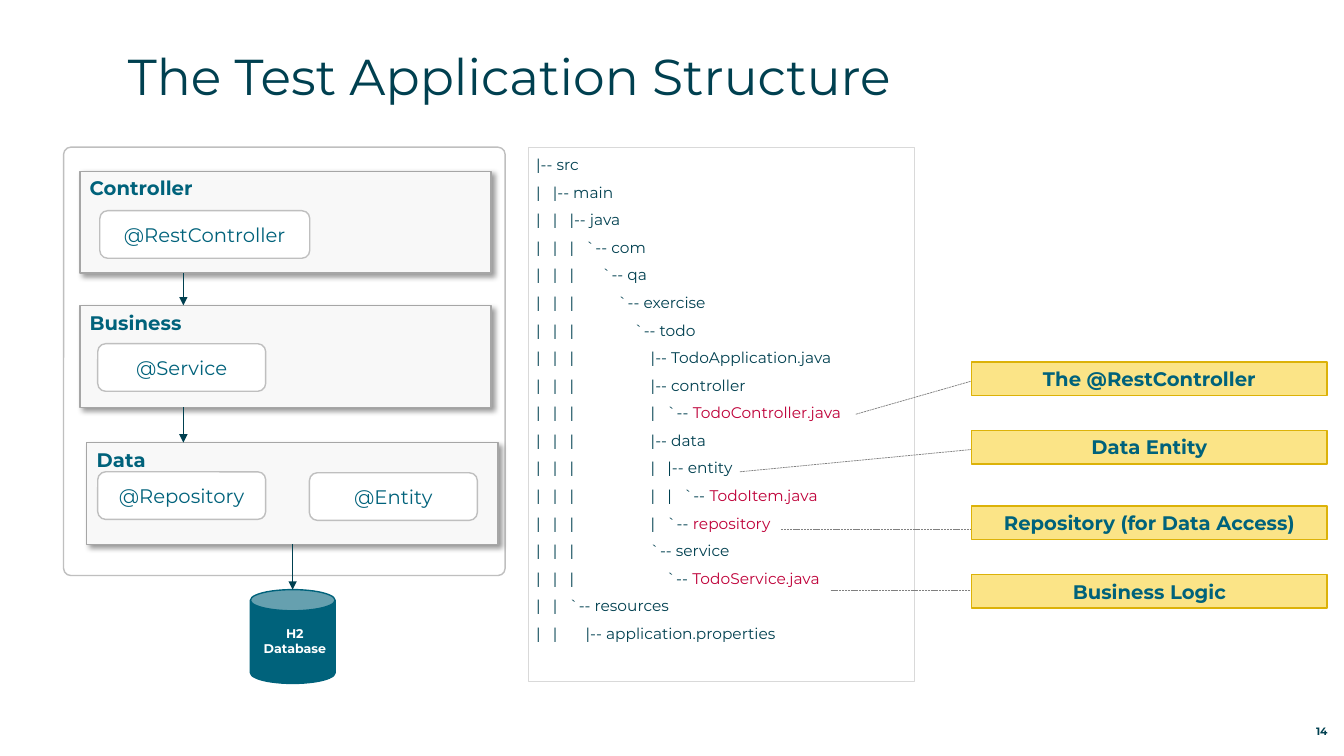
from lxml import etree
from pptx import Presentation
from pptx.dml.color import RGBColor
from pptx.enum.dml import MSO_LINE
from pptx.enum.shapes import MSO_CONNECTOR, MSO_SHAPE
from pptx.enum.text import MSO_ANCHOR, MSO_AUTO_SIZE, PP_ALIGN
from pptx.oxml.ns import qn
from pptx.util import Pt

RECT, ROUND, CAN = MSO_SHAPE.RECTANGLE, MSO_SHAPE.ROUNDED_RECTANGLE, MSO_SHAPE.CAN
LEFT, MID, RIGHT = PP_ALIGN.LEFT, PP_ALIGN.CENTER, PP_ALIGN.RIGHT
TOP, CENTER, BASE = MSO_ANCHOR.TOP, MSO_ANCHOR.MIDDLE, MSO_ANCHOR.BOTTOM
STRAIGHT, DASH, FIXED = MSO_CONNECTOR.STRAIGHT, MSO_LINE.SQUARE_DOT, MSO_AUTO_SIZE.NONE

FONT = "Montserrat"
INK, TEAL, RED, WHITE = "004050", "00627B", "BF0039", "FFFFFF"
GREY, SILVER, PALE = "808080", "BFBFBF", "D9D9D9"
PANEL, EDGE, YELLOW, GOLD = "F8F8F8", "A6A6A6", "FBE487", "DCB208"

TREE = """\
|-- src
|   |-- main
|   |   |-- java
|   |   |   `-- com
|   |   |       `-- qa
|   |   |           `-- exercise
|   |   |               `-- todo
|   |   |                   |-- TodoApplication.java
|   |   |                   |-- controller
|   |   |                   |   `-- TodoController.java
|   |   |                   |-- data
|   |   |                   |   |-- entity
|   |   |                   |   |   `-- TodoItem.java
|   |   |                   |   `-- repository
|   |   |                   `-- service
|   |   |                       `-- TodoService.java
|   |   `-- resources
|   |       |-- application.properties"""
HOT = {"TodoController.java", "TodoItem.java", "repository", "TodoService.java"}

LAYERS = [("Controller", 57, 122.4), ("Business", 57, 218.2), ("Data", 62, 316.1)]
ARROWS = [(131, 195.1, 218.2), (131, 290.9, 316.1), (209, 388.8, 421.2)]
BEANS = [
    ("@RestController", 71.3, 150.5, 150),
    ("@Service", 69.8, 245.5, 120),
    ("@Repository", 69.8, 337, 120),
    ("@Entity", 221, 337.7, 120),
]
NOTES = [
    ("The @RestController", 258.5, (611.3, 295.9, 272.2)),
    ("Data Entity", 307.4, (528.5, 337, 321.1)),
    ("Repository (for Data Access)", 361.4, (558, 378, 378)),
    ("Business Logic", 410.4, (593.3, 421.9, 421.9)),
]
NOTE_X = 694


def paint(code):
    return RGBColor.from_string(code)


class Deck:
    def __init__(self):
        self.show = Presentation()
        self.show.slide_width, self.show.slide_height = Pt(960), Pt(540)
        self.slide = self.show.slides.add_slide(self.show.slide_layouts[5])

    def label(self, shape, lines, size, bold=False, align=LEFT, anchor=TOP,
              pad=(7.2, 3.6), after=0):
        frame = shape.text_frame
        frame.word_wrap = True
        frame.auto_size = FIXED
        frame.vertical_anchor = anchor
        frame.margin_left = frame.margin_right = Pt(pad[0])
        frame.margin_top = frame.margin_bottom = Pt(pad[1])
        for i, line in enumerate(lines):
            para = frame.add_paragraph() if i else frame.paragraphs[0]
            para.alignment = align
            para.space_before, para.space_after = Pt(0), Pt(after)
            for text, color in line:
                run = para.add_run()
                run.text = text
                font = run.font
                font.name, font.size, font.bold = FONT, Pt(size), bold
                font.color.rgb = paint(color)

    def title(self, text, *box):
        shape = self.slide.shapes.title
        shape.left, shape.top, shape.width, shape.height = map(Pt, box)
        self.label(shape, [[(text, INK)]], 36, pad=(0, 0))

    def text(self, box, text, size, color, **look):
        shape = self.slide.shapes.add_textbox(*map(Pt, box))
        self.label(shape, [[(text, color)]], size, bold=True, **look)

    def shape(self, kind, box, fill, line, width=1, curve=None):
        shape = self.slide.shapes.add_shape(kind, *map(Pt, box))
        shape.shadow.inherit = False
        if fill:
            shape.fill.solid()
            shape.fill.fore_color.rgb = paint(fill)
        else:
            shape.fill.background()
        shape.line.color.rgb = paint(line)
        shape.line.width = Pt(width)
        if curve is not None:
            shape.adjustments[0] = curve
        return shape

    def shade(self, shape):
        group = shape.element.spPr.find(qn("a:effectLst"))
        outer = etree.SubElement(group, qn("a:outerShdw"), blurRad=str(Pt(4)),
                                 dist=str(Pt(3)), dir="2700000", algn="tl", rotWithShape="0")
        color = etree.SubElement(outer, qn("a:srgbClr"), val="000000")
        etree.SubElement(color, qn("a:alpha"), val="40000")

    def link(self, start, end, color, width, arrow=False):
        link = self.slide.shapes.add_connector(STRAIGHT, *map(Pt, start + end))
        link.line.color.rgb = paint(color)
        link.line.width = Pt(width)
        props = link.element.spPr
        if arrow:
            etree.SubElement(props.find(qn("a:ln")), qn("a:tailEnd"), type="triangle")
        else:
            link.line.dash_style = DASH
        etree.SubElement(props, qn("a:effectLst"))


def split(line):
    stem, mark, name = line.partition("-- ")
    if name in HOT:
        return [(stem + mark, INK), (name, RED)]
    return [(line, INK)]


def main():
    deck = Deck()
    deck.title("The Test Application Structure", 91.4, 32.4, 823.7, 41)

    tree = deck.shape(RECT, (377.3, 105.1, 275.8, 381.6), None, PALE, 0.75)
    deck.label(tree, [split(line) for line in TREE.splitlines()], 11,
               pad=(5.76, 5.76), after=6.5)

    deck.shape(ROUND, (45.4, 105.1, 315.4, 306), WHITE, SILVER, curve=0.017)
    for name, x, y in LAYERS:
        layer = deck.shape(RECT, (x, y, 293.8, 72.7), PANEL, EDGE)
        deck.shade(layer)
        deck.label(layer, [[(name, TEAL)]], 14, bold=True)
    deck.shape(CAN, (178.9, 421.2, 60.5, 67), TEAL, TEAL)
    for x, top, end in ARROWS:
        deck.link((x, top), (x, end), INK, 1, arrow=True)
    deck.text((178.9, 443.5, 63.4, 28.8), "H2 Database", 9, WHITE, align=MID)
    for name, x, y, width in BEANS:
        bean = deck.shape(ROUND, (x, y, width, 34), WHITE, SILVER)
        deck.label(bean, [[(name, TEAL)]], 14, align=MID, anchor=CENTER)

    for name, top, (x, y, end) in NOTES:
        deck.link((x, y), (NOTE_X, end), GREY, 0.5)
        note = deck.shape(RECT, (NOTE_X, top, 254, 24), YELLOW, GOLD)
        deck.label(note, [[(name, TEAL)]], 14, bold=True, align=MID, anchor=CENTER)

    deck.text((886.3, 512.6, 61.9, 14.4), "14", 7.6, INK,
              align=RIGHT, anchor=BASE, pad=(0, 0))
    deck.show.save("out.pptx")


if __name__ == "__main__":
    main()
